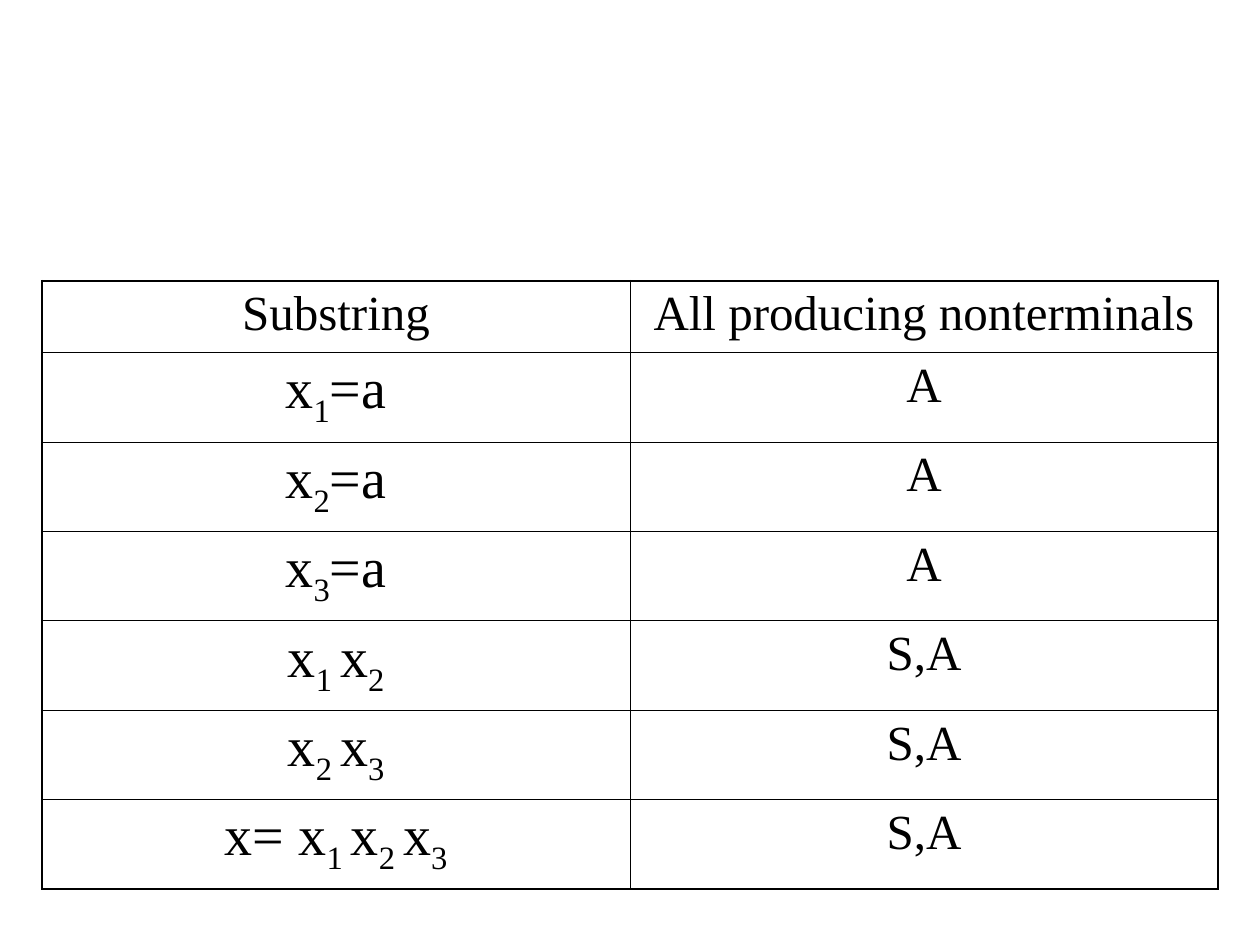
import pptx
import pptx.dml.color
import pptx.enum.text
import pptx.oxml.ns
import pptx.util
from lxml import etree

COLORS = {"text": "000000", "border": "000000"}
THIN, THICK = 0.45, 1.08

# Odd pieces between underscores are subscripts
ROWS = [
    ("Substring", "All producing nonterminals"),
    ("x_1_=a", "A"),
    ("x_2_=a", "A"),
    ("x_3_=a", "A"),
    ("x_1 _x_2", "S,A"),
    ("x_2 _x_3", "S,A"),
    ("x= x_1 _x_2 _x_3", "S,A"),
]


class SlideBuilder:
    """Holds the text style and the current slide."""

    def __init__(self, slide, font_name):
        self.slide = slide
        self.font_name = font_name

    def text(self, paragraph, markup, size):
        """Write the markup as plain and subscript runs."""
        paragraph.alignment = pptx.enum.text.PP_ALIGN.CENTER
        font_format = {"name": self.font_name, "size": pptx.util.Pt(size)}
        for index, piece in enumerate(markup.split("_")):
            if not piece:
                continue
            run = paragraph.add_run()
            run.text = piece
            for attribute, value in font_format.items():
                setattr(run.font, attribute, value)
            run.font.color.rgb = pptx.dml.color.RGBColor.from_string(COLORS["text"])
            if index % 2:
                run.font._element.set("baseline", "-25000")

    def borders(self, cell, widths):
        """Draw the cell's left, right, top and bottom lines."""
        qn = pptx.oxml.ns.qn
        properties = cell._tc.get_or_add_tcPr()
        for side, width in zip("LRTB", widths):
            line = etree.SubElement(properties, qn(f"a:ln{side}"), w=str(pptx.util.Pt(width)))
            fill = etree.SubElement(line, qn("a:solidFill"))
            etree.SubElement(fill, qn("a:srgbClr"), val=COLORS["border"])

    def table(self, rows, left, top, column_width, row_heights):
        """Add a table with a thick frame and thin inner lines."""
        points = pptx.util.Pt
        row_count, column_count = len(rows), len(rows[0])
        table = self.slide.shapes.add_table(
            row_count, column_count, points(left), points(top),
            points(column_width * column_count), points(sum(row_heights)),
        ).table
        table.first_row = table.horz_banding = False
        for column in table.columns:
            column.width = points(column_width)
        cell_format = {
            "margin_left": points(7.2), "margin_right": points(7.2),
            "margin_top": points(3.6), "margin_bottom": points(3.6),
        }
        for row_index, texts in enumerate(rows):
            table.rows[row_index].height = points(row_heights[row_index])
            for column_index, markup in enumerate(texts):
                cell = table.cell(row_index, column_index)
                for attribute, value in cell_format.items():
                    setattr(cell, attribute, value)
                outer_sides = (
                    column_index == 0, column_index == column_count - 1,
                    row_index == 0, row_index == row_count - 1,
                )
                self.borders(cell, [THICK if outer else THIN for outer in outer_sides])
                cell.fill.background()
                size = 32 if row_index and column_index == 0 else 28
                self.text(cell.text_frame.paragraphs[0], markup, size)


def main():
    presentation = pptx.Presentation()
    presentation.slide_width = pptx.util.Pt(720)
    presentation.slide_height = pptx.util.Pt(540)
    slide = presentation.slides.add_slide(presentation.slide_layouts[6])
    builder = SlideBuilder(slide, "Times New Roman")

    # Substrings and the nonterminals that produce them
    row_heights = [41] + [51.13] * (len(ROWS) - 1)
    builder.table(ROWS, left=24, top=160.4, column_width=336, row_heights=row_heights)

    presentation.save("out.pptx")


if __name__ == "__main__":
    main()
